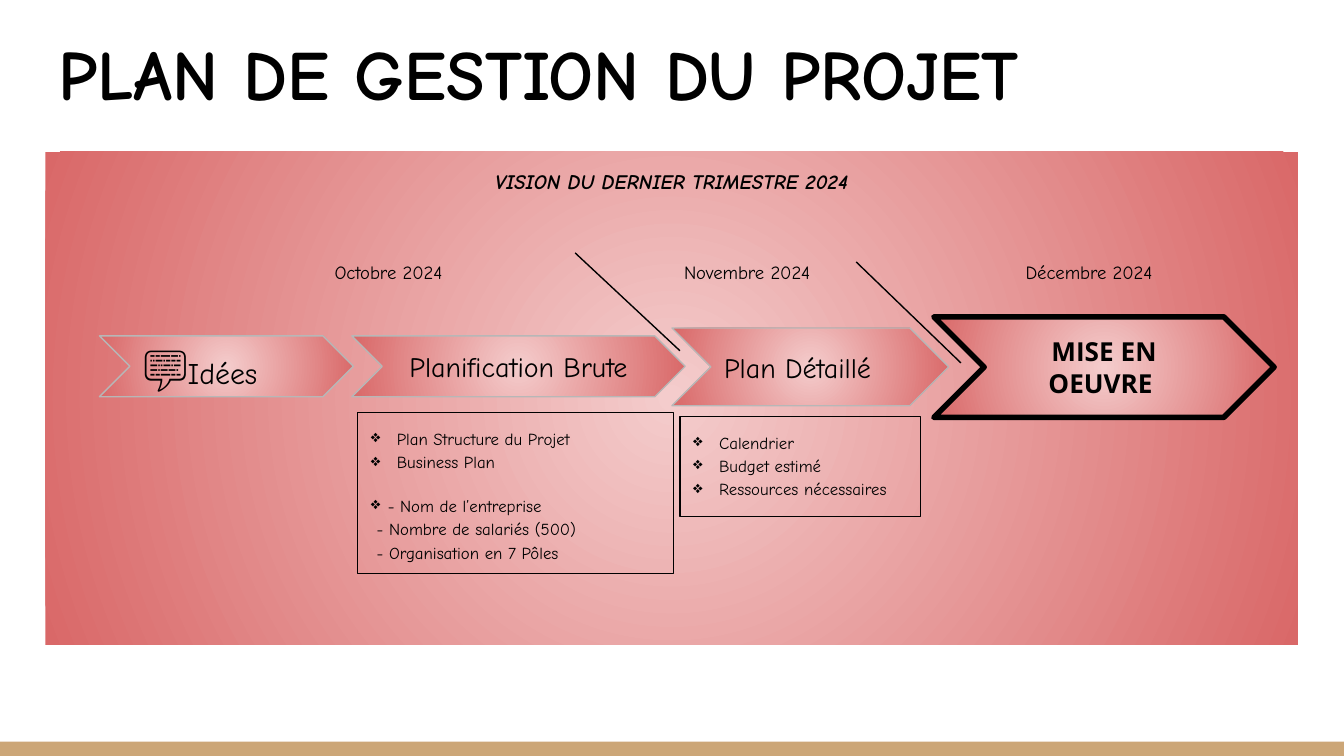
from dataclasses import dataclass

from pptx import Presentation
from pptx.dml.color import RGBColor
from pptx.enum.shapes import MSO_CONNECTOR, MSO_SHAPE
from pptx.enum.text import MSO_ANCHOR, PP_ALIGN
from pptx.oxml.ns import qn
from pptx.util import Cm, Pt
from lxml import etree

RECTANGLE, CHEVRON = MSO_SHAPE.RECTANGLE, MSO_SHAPE.CHEVRON
LEFT, CENTER = PP_ALIGN.LEFT, PP_ALIGN.CENTER
TOP, MIDDLE, BOTTOM = MSO_ANCHOR.TOP, MSO_ANCHOR.MIDDLE, MSO_ANCHOR.BOTTOM
STRAIGHT = MSO_CONNECTOR.STRAIGHT


@dataclass(frozen=True)
class Theme:
    black: RGBColor = RGBColor(0x00, 0x00, 0x00)
    grey: RGBColor = RGBColor(0xB7, 0xB7, 0xB7)
    footer: RGBColor = RGBColor(0xCC, 0xA6, 0x77)
    light: RGBColor = RGBColor(0xF4, 0xCC, 0xCC)
    red: RGBColor = RGBColor(0xD9, 0x68, 0x68)
    font: str = "Comic Neue"
    strong_font: str = "Open Sans"
    title: float = 37.8
    icon: float = 24
    idea: float = 16
    step: float = 15
    final: float = 14
    subtitle: float = 11
    month: float = 10
    item: float = 9


theme = Theme()
presentation = Presentation()
presentation.slide_width, presentation.slide_height = Cm(25.4), Cm(14.29)
slide = presentation.slides.add_slide(presentation.slide_layouts[6])


def add_box(kind, box, fill=None, line=None, width=0.75):
    """Add a preset shape; fill is None, one colour or a (centre, edge) pair."""
    shape = slide.shapes.add_shape(kind, *(Cm(length) for length in box))
    shape.shadow.inherit = False
    if fill is None:
        shape.fill.background()
    elif fill in (theme.footer,):
        shape.fill.solid()
        shape.fill.fore_color.rgb = fill
    else:
        shape.fill.gradient()
        for stop, colour, position in zip(shape.fill.gradient_stops, fill, (0, 1)):
            stop.color.rgb = colour
            stop.position = position
        gradient = shape._element.spPr.find(qn("a:gradFill"))
        gradient.remove(gradient.find(qn("a:lin")))
        circle = etree.SubElement(gradient, qn("a:path"), {"path": "circle"})
        sides = {side: "50000" for side in "ltrb"}
        etree.SubElement(circle, qn("a:fillToRect"), sides)
    if line is None:
        shape.line.fill.background()
    else:
        shape.line.color.rgb = line
        shape.line.width = Pt(width)
    return shape


def write(shape, paragraphs, anchor=TOP, align=LEFT, spacing=1.15, **font):
    """Fill a shape with paragraphs, each a list of (text, size) runs."""
    frame = shape.text_frame
    frame.word_wrap = True
    frame.vertical_anchor = anchor
    for side in ("left", "top", "right", "bottom"):
        setattr(frame, f"margin_{side}", Cm(0.25))
    for index, runs in enumerate(paragraphs):
        paragraph = frame.add_paragraph() if index else frame.paragraphs[0]
        paragraph.alignment = align
        paragraph.line_spacing = spacing
        for text, size in runs:
            run = paragraph.add_run()
            run.text = text
            run.font.color.rgb = theme.black
            formats = {"name": theme.font, "size": Pt(size), **font}
            for name, value in formats.items():
                setattr(run.font, name, value)
    return frame.paragraphs


# Footer band, title and background panel
add_box(RECTANGLE, (0, 14.02, 25.4, 0.27), theme.footer)
title = add_box(RECTANGLE, (0.86, 0.51, 23.67, 1.9))
write(title, [[("PLAN DE GESTION DU PROJET", theme.title)]], BOTTOM, spacing=1.0, bold=True)
panel = add_box(RECTANGLE, (0.86, 2.87, 23.67, 9.32), (theme.light, theme.red))
write(panel, [[("VISION DU DERNIER TRIMESTRE 2024", theme.subtitle)]],
      align=CENTER, bold=True, italic=True)

# Months
for month, left, width in (
    ("Octobre 2024", 4.29, 6.1),
    ("Novembre 2024", 12.09, 4.06),
    ("Décembre 2024", 17.53, 6.1),
):
    label = add_box(RECTANGLE, (left, 4.62, width, 0.84))
    write(label, [[(month, theme.month)]], align=CENTER)

# Separators between months
for ends in ((10.87, 4.78, 12.85, 6.63), (16.18, 4.95, 18.16, 6.86)):
    separator = slide.shapes.add_connector(STRAIGHT, *(Cm(end) for end in ends))
    separator.line.color.rgb = theme.black
    separator.line.width = Pt(0.75)
    etree.SubElement(separator._element.spPr, qn("a:effectLst"))

# Steps
for box, runs, align, line, width, font in (
    ((1.88, 6.35, 4.8, 1.15), [("💬", theme.icon), ("Idées", theme.idea)],
     LEFT, theme.grey, 0.75, {}),
    ((12.7, 6.2, 5.23, 1.47), [("Plan Détaillé", theme.step)],
     LEFT, theme.grey, 0.75, {}),
    ((6.65, 6.35, 6.3, 1.15), [("Planification Brute", theme.step)],
     CENTER, theme.grey, 0.75, {}),
    ((17.65, 5.99, 6.43, 1.9), [("MISE EN OEUVRE ", theme.final)],
     CENTER, theme.black, 3, {"name": theme.strong_font, "bold": True}),
):
    step = add_box(CHEVRON, box, (theme.light, theme.red), line, width)
    write(step, [runs], MIDDLE, align, 1.0, **font)

# Details: text, left margin in cm, bullet, space before in points
for box, items in (
    ((6.76, 7.8, 5.97, 3.04), (
        ("Plan Structure du Projet", 0.49, True, 0),
        ("Business Plan", 0.49, True, 0),
        ("- Nom de l’entreprise", 0.32, True, 11),
        ("- Nombre de salariés (500)", 0.11, False, 0),
        ("- Organisation en 7 Pôles", 0.11, False, 0),
    )),
    ((12.85, 7.87, 4.55, 1.9), (
        ("Calendrier", 0.49, True, 0),
        ("Budget estimé", 0.49, True, 0),
        ("Ressources nécessaires", 0.49, True, 0),
    )),
):
    details = add_box(RECTANGLE, box, line=theme.black)
    paragraphs = write(details, [[(item[0], theme.item)] for item in items])
    for paragraph, (_, margin, bullet, before) in zip(paragraphs, items):
        paragraph.space_before = Pt(before)
        properties = paragraph._p.get_or_add_pPr()
        properties.set("marL", str(Cm(margin)))
        if bullet:
            properties.set("indent", str(-Cm(margin)))
            etree.SubElement(properties, qn("a:buChar"), {"char": "❖"})

presentation.save("out.pptx")
